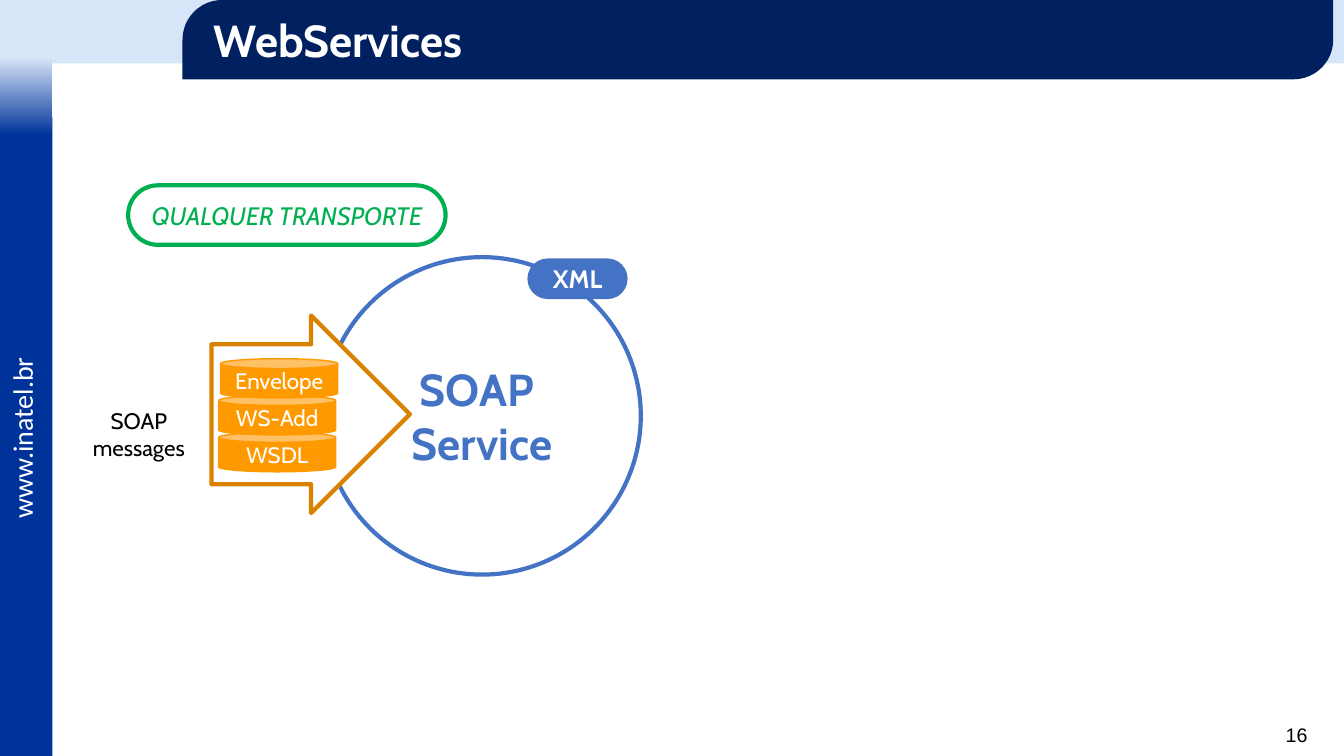
"""Build the WebServices slide showing SOAP messages entering a SOAP service."""
from dataclasses import dataclass
from typing import Optional

from pptx import Presentation
from pptx.dml.color import RGBColor
from pptx.enum.shapes import MSO_SHAPE as Preset
from pptx.enum.text import MSO_ANCHOR as Anchor, PP_ALIGN as Align
from pptx.shapes.autoshape import Shape
from pptx.slide import Slide
from pptx.util import Cm, Pt

COLORS = {
    "white": "FFFFFF", "black": "000000", "pale": "D7E5F9", "royal": "003399",
    "navy": "002060", "blue": "4472C4", "amber": "DA8200", "orange": "FF9900",
    "green": "00B050",
}


@dataclass(frozen=True)
class Label:
    text: str
    size: float
    color: str
    font: str = "Cabin"
    bold: bool = False
    italic: bool = False
    align: Align = Align.CENTER
    anchor: Anchor = Anchor.MIDDLE
    margin_left: float = 0.25


@dataclass(frozen=True)
class Item:
    left: float
    top: float
    width: float
    height: float
    preset: Optional[Preset] = None
    fill: Optional[str] = None
    line: Optional[str] = None
    line_width: float = 1
    adjustments: tuple[float, ...] = ()
    label: Optional[Label] = None
    rotation: float = 0
    fade_to: Optional[str] = None


def rgb(name: str) -> RGBColor:
    return RGBColor.from_string(COLORS[name])


def style_shape(shape: Shape, item: Item) -> None:
    shape.shadow.inherit = False
    if item.fade_to:
        shape.fill.gradient()
        shape.fill.gradient_angle = 270
        for stop, color in zip(shape.fill.gradient_stops, (item.fill, item.fade_to)):
            stop.color.rgb = rgb(color)
    elif item.fill:
        shape.fill.solid()
        shape.fill.fore_color.rgb = rgb(item.fill)
    else:
        shape.fill.background()
    if item.line:
        shape.line.color.rgb = rgb(item.line)
        shape.line.width = Pt(item.line_width)
    else:
        shape.line.fill.background()
    for index, value in enumerate(item.adjustments):
        shape.adjustments[index] = value


def write_label(shape: Shape, label: Label) -> None:
    frame = shape.text_frame
    frame.word_wrap = True
    frame.vertical_anchor = label.anchor
    frame.margin_left = Cm(label.margin_left)
    frame.text = label.text
    formats = {"name": label.font, "size": Pt(label.size),
               "bold": label.bold, "italic": label.italic}
    for paragraph in frame.paragraphs:
        paragraph.alignment = label.align
        for name, value in formats.items():
            setattr(paragraph.font, name, value)
        paragraph.font.color.rgb = rgb(label.color)


def draw_item(slide: Slide, item: Item) -> None:
    bounds = [Cm(n) for n in (item.left, item.top, item.width, item.height)]
    if item.preset is None:
        shape = slide.shapes.add_textbox(*bounds)
    else:
        shape = slide.shapes.add_shape(item.preset, *bounds)
        style_shape(shape, item)
    shape.rotation = item.rotation
    if item.label:
        write_label(shape, item.label)


FRAME = [
    Item(0, 0, 33.87, 1.6, Preset.RECTANGLE, "pale"),
    Item(0, 2.95, 1.32, 16.1, Preset.RECTANGLE, "royal"),
    Item(0, 1.45, 1.32, 1.96, Preset.RECTANGLE, "pale", fade_to="royal"),
    Item(-1.83, 10.39, 4.75, 1.09, rotation=270,
         label=Label("www.inatel.br", 20, "white", "Calibri",
                     align=Align.LEFT, anchor=Anchor.TOP)),
    Item(31.55, 18.08, 1.65, 0.86,
         label=Label("16", 14, "black", "Arial", align=Align.RIGHT, anchor=Anchor.TOP)),
    Item(4.6, 0, 29, 2, Preset.ROUND_2_DIAG_RECTANGLE, "navy", adjustments=(0.5, 0),
         label=Label("WebServices", 32, "white", bold=True, align=Align.LEFT,
                     margin_left=0.5)),
]
SERVICE = [
    Item(8.15, 6.48, 8, 8, Preset.OVAL, line="blue", line_width=3,
         label=Label("SOAP \nService", 32, "blue", bold=True)),
    Item(2, 10.03, 3, 1.8, label=Label("SOAP messages", 16, "black")),
    Item(5.33, 7.95, 5, 4.98, Preset.RIGHT_ARROW, "white", "amber", 3, (0.708, 0.5)),
    Item(3.23, 4.67, 8, 1.5, Preset.ROUNDED_RECTANGLE, "white", "green", 3, (0.5,),
         Label("QUALQUER TRANSPORTE", 18, "green", italic=True)),
    Item(13.31, 6.53, 2.49, 0.99, Preset.ROUNDED_RECTANGLE, "blue", "blue",
         adjustments=(0.5,), label=Label("XML", 18, "white", bold=True)),
]
LAYERS = [("WSDL", 5.51), ("WS-Add", 5.51), ("Envelope", 5.56)]
LAYER_BOTTOM_TOP, LAYER_STEP = 10.9, 0.93
STACK = [
    Item(left, LAYER_BOTTOM_TOP - index * LAYER_STEP, 2.95, 0.99, Preset.CAN,
         "orange", "orange", label=Label(text, 16, "white"))
    for index, (text, left) in enumerate(LAYERS)
]


def main() -> None:
    presentation = Presentation()
    presentation.slide_width, presentation.slide_height = Cm(33.87), Cm(19.05)
    slide = presentation.slides.add_slide(presentation.slide_layouts[6])
    for item in FRAME + SERVICE + STACK:
        draw_item(slide, item)
    presentation.save("out.pptx")


if __name__ == "__main__":
    main()
